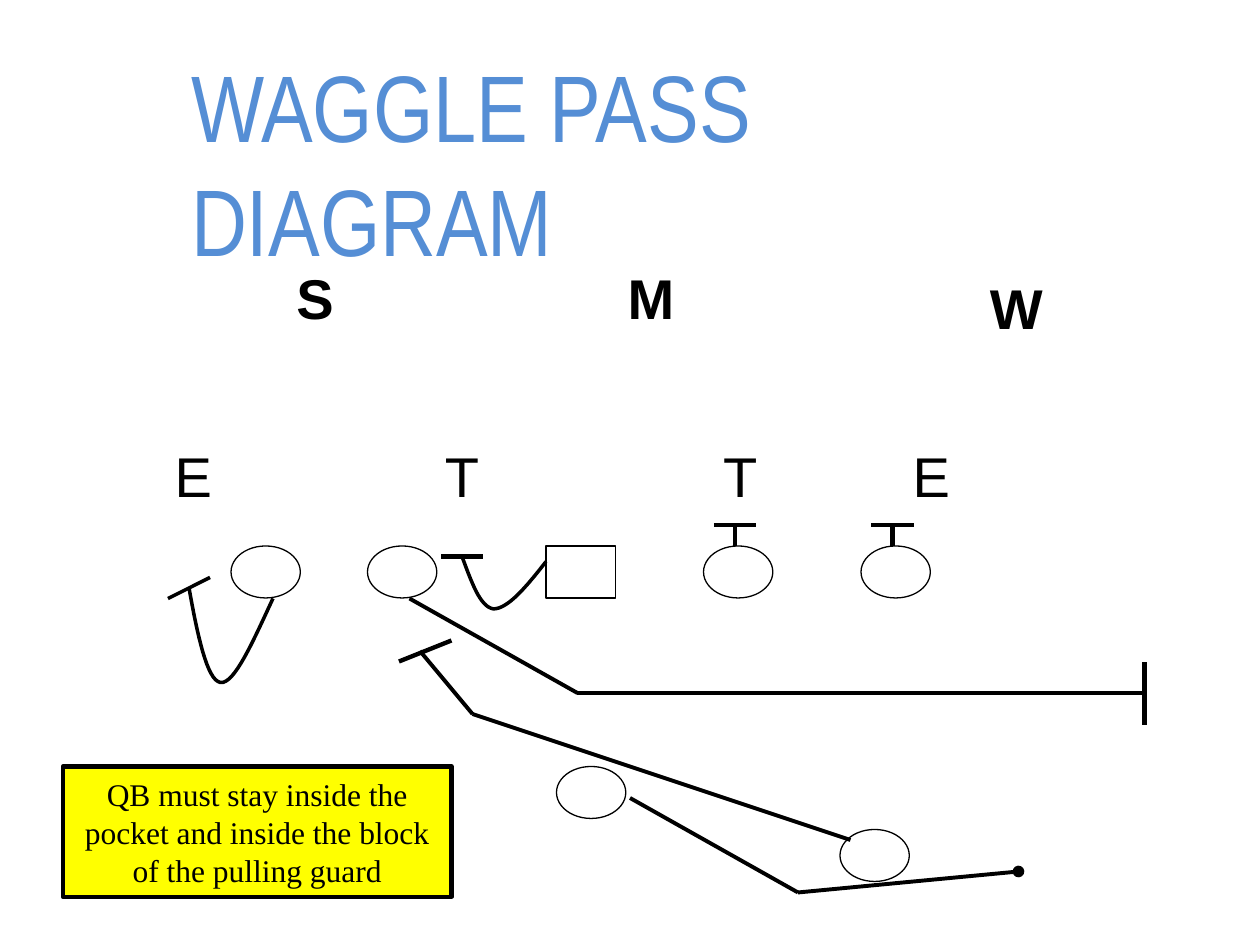
import pptx
import pptx.util
import pptx.dml.color
import pptx.enum.shapes
import pptx.enum.text
import pptx.oxml.ns
import pptx.oxml.xmlchemy

Pt = pptx.util.Pt
Shape = pptx.enum.shapes.MSO_SHAPE
Align = pptx.enum.text.PP_ALIGN
Anchor = pptx.enum.text.MSO_ANCHOR
Element = pptx.oxml.xmlchemy.OxmlElement
COLORS = {
    name: pptx.dml.color.RGBColor.from_string(code)
    for name, code in {
        "title": "558ED5", "ink": "000000", "paper": "FFFFFF", "note": "FFFF00",
    }.items()
}

deck = pptx.Presentation()
deck.slide_width = pptx.util.Inches(10)
deck.slide_height = pptx.util.Inches(7.5)
slide = deck.slides.add_slide(deck.slide_layouts[5])
shapes = slide.shapes
unit = deck.slide_width / 120  # the field is a grid of 120 columns and 90 rows


def grid(*counts):
    """Turn counts of columns or rows into lengths."""
    return [round(count * unit) for count in counts]


def write(shape, text, size, font, color="ink", align=Align.CENTER, bold=False):
    frame = shape.text_frame
    frame.word_wrap = True
    frame.text = text
    line = frame.paragraphs[0]
    line.alignment = align
    face = line.runs[0].font
    face.size, face.name, face.bold = Pt(size), font, bold
    face.color.rgb = COLORS[color]


# Title
title = shapes.title
title.left, title.top, title.width, title.height = grid(17, 4, 86, 12.2)
write(title, "WAGGLE PASS DIAGRAM", 54, "Arial Narrow", "title", Align.LEFT)
title.text_frame.auto_size = pptx.enum.text.MSO_AUTO_SIZE.NONE
title.text_frame.vertical_anchor = Anchor.TOP

# Defence: letter, middle column, top row, bold
for letter, col, row, bold in [
    ("S", 30, 24.5, True), ("M", 62, 24.5, True), ("W", 96.8, 25.5, True),
    ("E", 18.4, 41.5, False), ("T", 44, 41.5, False),
    ("T", 70.5, 41.5, False), ("E", 88.7, 41.5, False),
]:
    box = shapes.add_textbox(*grid(col - 4, row, 8, 7.5))
    write(box, letter, 32, "Arial", bold=bold)

# Offence and the note: form, place, fill, line width
players = [(Shape.OVAL, col, row, 6.6, 4.95, "paper", 0.75) for col, row in [
    (80, 79), (35, 52), (22, 52), (67, 52), (82, 52), (53, 73)]]
center = (Shape.RECTANGLE, 52, 52, 6.6, 4.95, "paper", 0.75)
note = (Shape.RECTANGLE, 6, 73, 37, 12.4, "note", 2.5)
for form, col, row, wide, high, fill, width in [*players, center, note]:
    shape = shapes.add_shape(form, *grid(col, row, wide, high))
    shape.shadow.inherit = False
    shape.fill.solid()
    shape.fill.fore_color.rgb = COLORS[fill]
    shape.line.color.rgb = COLORS["ink"]
    shape.line.width = Pt(width)
write(shape, "QB must stay inside the pocket and inside the block of the pulling guard",
      18, "Times New Roman")
shape.text_frame.vertical_anchor = Anchor.MIDDLE

# Curved blocks: a start point, then two Bezier arcs of three points each
for curve in [
    [(26, 57), (24.1, 61.1), (22.3, 65.2), (21, 65),
     (19.7, 64.8), (18.8, 60.4), (18, 56)],
    [(52, 53.5), (50.2, 55.8), (48.4, 58), (47, 58),
     (45.7, 57.8), (44.9, 55.4), (44, 53)],
]:
    points = []
    for first in (0, 3):
        arc = curve[first:first + 4]
        for step in range(1, 17):
            t = step / 16
            parts = ((1 - t) ** 3, 3 * t * (1 - t) ** 2, 3 * t * t * (1 - t), t ** 3)
            points.append(grid(*(
                sum(part * point[axis] for part, point in zip(parts, arc))
                for axis in (0, 1))))
    pen = shapes.build_freeform(*grid(*curve[0]), scale=1.0)
    pen.add_line_segments(points, close=False)
    block = pen.convert_to_shape()
    block.shadow.inherit = False
    block.fill.background()
    block.line.color.rgb = COLORS["ink"]
    block.line.width = Pt(2)

# Straight routes and block bars: from, to, width
lines = [
    (16, 57, 20, 55, 2), (109, 69, 109, 63, 2.5), (42, 53, 46, 53, 2.5),
    (39, 57, 55, 66, 2.25), (55, 66, 109, 66, 2.25),
    (81, 80, 45, 68, 2.25), (45, 68, 40, 62, 2.25), (38, 63, 43, 61, 2.5),
    (60, 76, 76, 85, 2.25), (76, 85, 97, 83, 2.25),
]
for col in (70, 85):
    lines += [(col, 52, col, 50, 2.5), (col - 2, 50, col + 2, 50, 2.5)]
for *ends, width in lines:
    route = shapes.add_connector(pptx.enum.shapes.MSO_CONNECTOR.STRAIGHT, *grid(*ends))
    route.line.color.rgb = COLORS["ink"]
    route.line.width = Pt(width)
    props = route._element.spPr
    props.append(Element("a:effectLst"))
    if ends == [76, 85, 97, 83]:  # the quarterback's route ends in a dot
        dot = Element("a:tailEnd")
        dot.set("type", "oval")
        props.find(pptx.oxml.ns.qn("a:ln")).append(dot)

deck.save("out.pptx")
